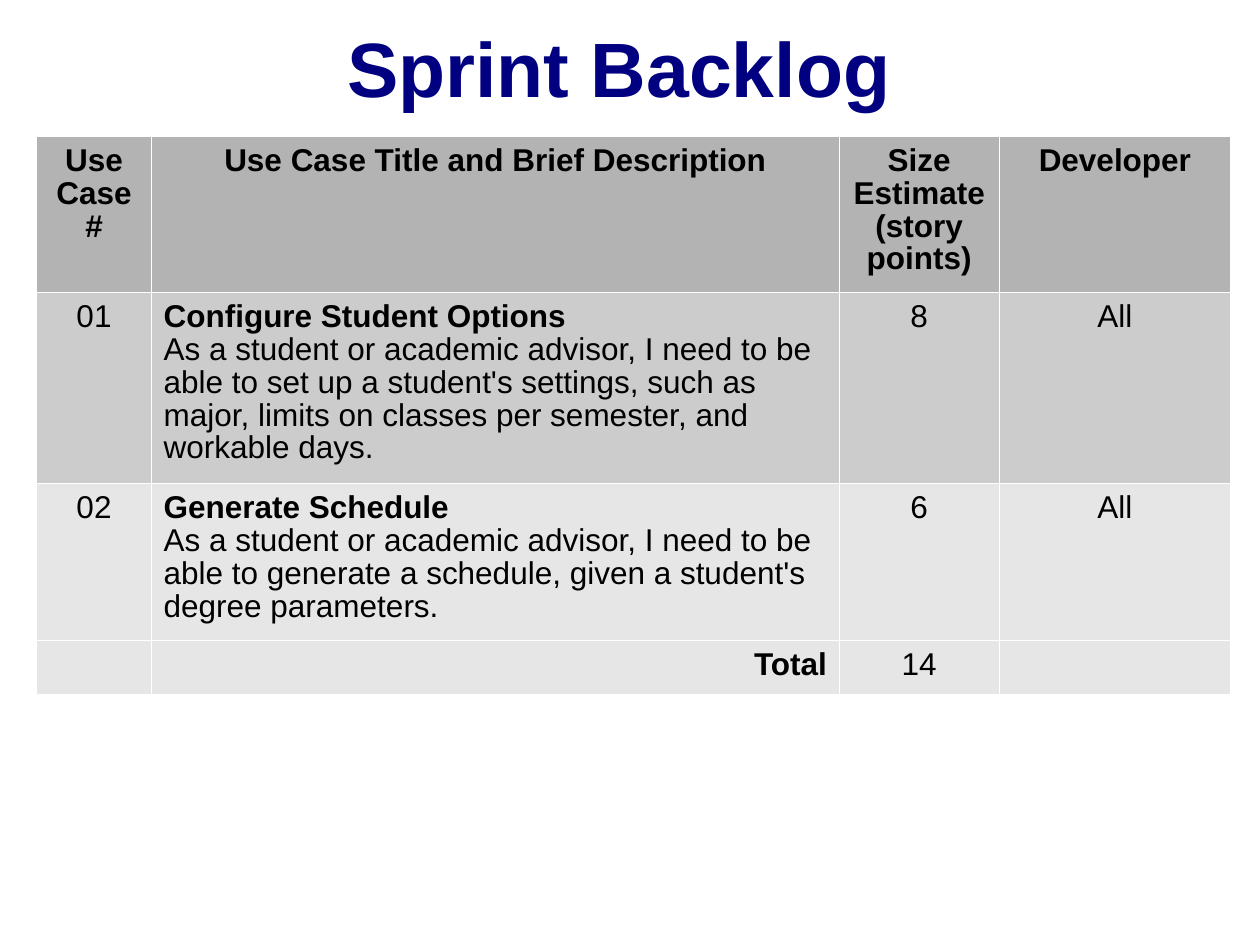
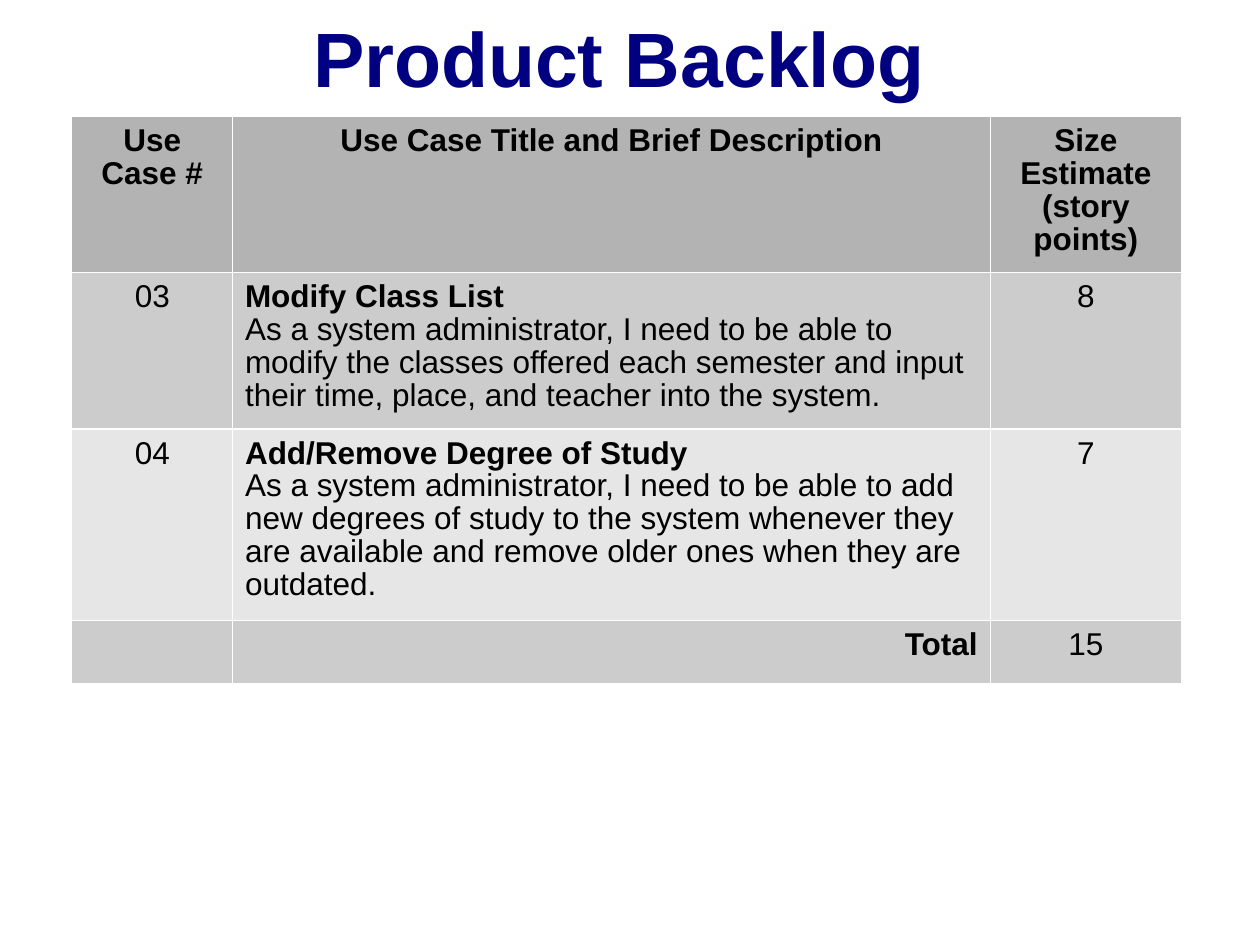
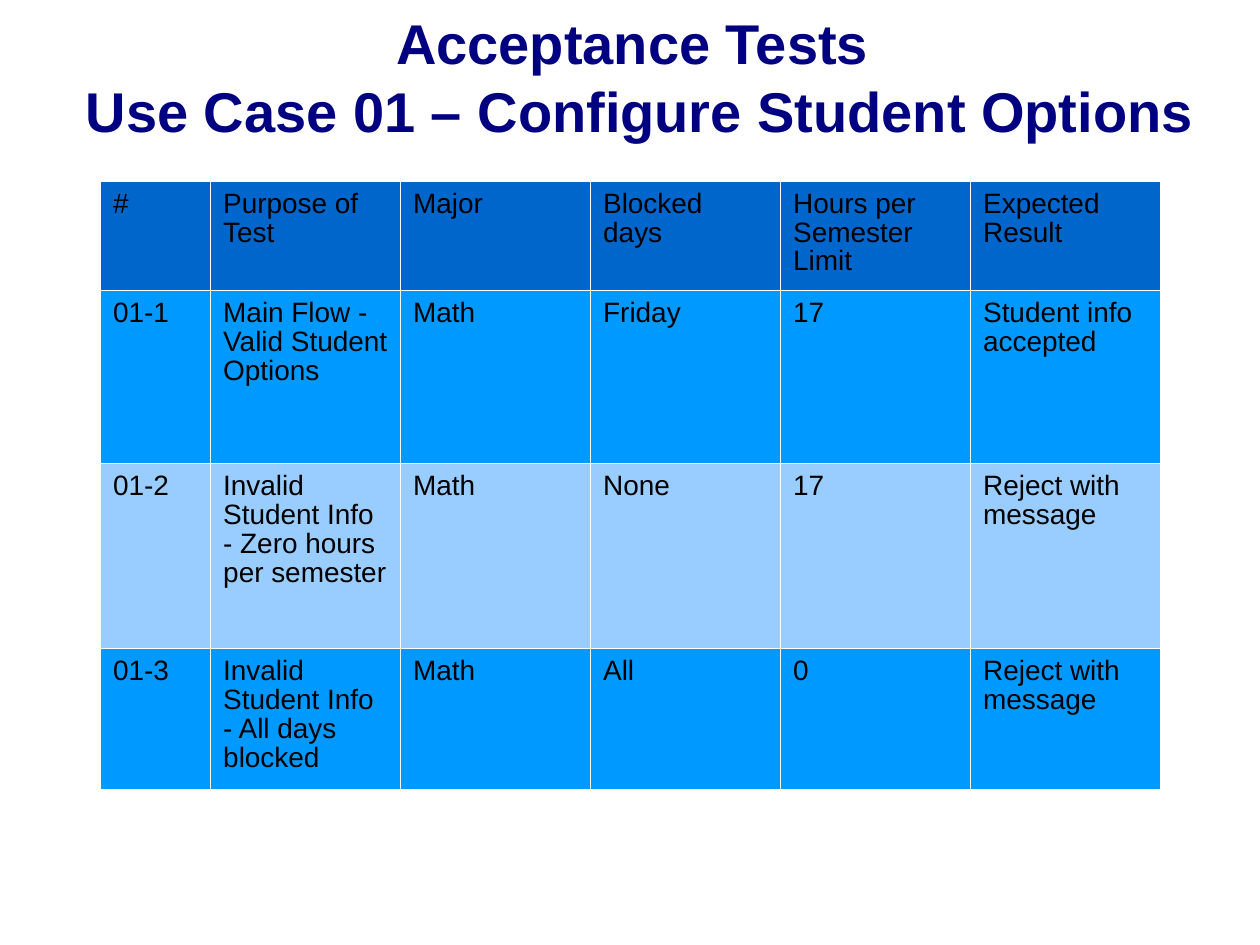
from dataclasses import dataclass

from lxml.etree import SubElement
from pptx import Presentation
from pptx.dml.color import RGBColor
from pptx.enum.text import MSO_ANCHOR, PP_ALIGN
from pptx.oxml.ns import qn
from pptx.util import Cm, Pt


@dataclass(frozen=True)
class Theme:
    font: str = "Arial"
    title_color: str = "000080"
    text_color: str = "000000"
    border_color: str = "FFFFFF"
    border_width: float = 0.75
    header_gray: str = "B3B3B3"
    dark_gray: str = "CCCCCC"
    light_gray: str = "E6E6E6"
    header_blue: str = "0066CC"
    dark_blue: str = "0099FF"
    light_blue: str = "99CCFF"
    title_size: int = 44
    long_title_size: int = 32
    backlog_size: int = 18
    test_size: int = 16
    line_spacing: float = 0.93


@dataclass(frozen=True)
class Entry:
    lines: tuple
    align: PP_ALIGN = PP_ALIGN.LEFT
    bold_lines: int = 0


def set_format(target, values):
    for name, value in values.items():
        setattr(target, name, value)


def centered(*lines, bold=False):
    return Entry(lines, PP_ALIGN.CENTER, len(lines) if bold else 0)


def story(number, name, need, points, *developers):
    rest = [centered(text) for text in (points, *developers)]
    return [centered(number), Entry((name, need), bold_lines=1), *rest]


def total(points):
    return [Entry(()), Entry(("Total",), PP_ALIGN.RIGHT, 1), centered(points)]


def plain(*texts):
    return [Entry((text,)) for text in texts]


class Builder:
    def __init__(self, theme):
        self.theme = theme
        self.deck = Presentation()
        set_format(self.deck, {"slide_width": Cm(25.4), "slide_height": Cm(19.05)})
        self.page = None

    def add_page(self):
        self.page = self.deck.slides.add_slide(self.deck.slide_layouts[6])

    def add_span(self, para, text, size, color, bold):
        span = para.add_run()
        span.text = text
        set_format(span.font, {"name": self.theme.font, "size": Pt(size), "bold": bold})
        span.font.color.rgb = RGBColor.from_string(color)

    def add_title(self, lines, top, width, height, size):
        box = self.page.shapes.add_textbox(Cm(1.27), Cm(top), Cm(width), Cm(height))
        frame = box.text_frame
        set_format(frame, {"word_wrap": True, "vertical_anchor": MSO_ANCHOR.MIDDLE})
        para = frame.paragraphs[0]
        para.alignment = PP_ALIGN.CENTER
        for index, line in enumerate(lines):
            if index:
                para.add_line_break()
            self.add_span(para, line, size, self.theme.title_color, True)

    def add_borders(self, cell):
        properties = cell._tc.get_or_add_tcPr()
        for side in ("a:lnL", "a:lnR", "a:lnT", "a:lnB"):
            line = SubElement(properties, qn(side), w=str(Pt(self.theme.border_width)))
            fill = SubElement(line, qn("a:solidFill"))
            SubElement(fill, qn("a:srgbClr"), val=self.theme.border_color)

    def fill_cell(self, cell, entry, color, size):
        set_format(cell, {
            "margin_left": Cm(0.25), "margin_right": Cm(0.25),
            "margin_top": Cm(0.18), "margin_bottom": Cm(0.13),
        })
        self.add_borders(cell)
        cell.fill.solid()
        cell.fill.fore_color.rgb = RGBColor.from_string(color)
        frame = cell.text_frame
        for index, line in enumerate(entry.lines):
            para = frame.add_paragraph() if index else frame.paragraphs[0]
            set_format(para, {"alignment": entry.align, "line_spacing": self.theme.line_spacing})
            self.add_span(para, line, size, self.theme.text_color, index < entry.bold_lines)

    def add_table(self, left, top, widths, heights, rows, colors, size):
        table = self.page.shapes.add_table(
            len(rows), len(widths), Cm(left), Cm(top), Cm(sum(widths)), Cm(sum(heights))
        ).table
        set_format(table, {"first_row": False, "horz_banding": False})
        for column, width in zip(table.columns, widths):
            column.width = Cm(width)
        for row, height, entries, color in zip(table.rows, heights, rows, colors):
            row.height = Cm(height)
            for cell, entry in zip(row.cells, entries):
                self.fill_cell(cell, entry, color, size)


def main():
    theme = Theme()
    builder = Builder(theme)
    backlog_header = [
        centered("Use Case #", bold=True),
        centered("Use Case Title and Brief Description", bold=True),
        centered("Size Estimate", "(story points)", bold=True),
    ]

    builder.add_page()
    builder.add_title(["Sprint Backlog "], 0.28, 22.86, 2.13, theme.title_size)
    sprint_rows = [
        backlog_header + [centered("Developer", bold=True)],
        story("01", "Configure Student Options",
              "As a student or academic advisor, I need to be able to set up a student's "
              "settings, such as major, limits on classes per semester, and workable days.",
              "8", "All"),
        story("02", "Generate Schedule",
              "As a student or academic advisor, I need to be able to generate a schedule, "
              "given a student's degree parameters.",
              "6", "All"),
        total("14") + [Entry(())],
    ]
    builder.add_table(
        0.74, 2.75, [2.31, 13.87, 3.22, 4.67], [3.13, 3.85, 3.15, 1.1], sprint_rows,
        [theme.header_gray, theme.dark_gray, theme.light_gray, theme.light_gray],
        theme.backlog_size,
    )

    builder.add_page()
    builder.add_title(["Product Backlog "], 0.08, 22.86, 2.13, theme.title_size)
    product_rows = [
        backlog_header,
        story("03", "Modify Class List",
              "As a system administrator, I need to be able to modify the classes offered "
              "each semester and input their time, place, and teacher into the system.",
              "8"),
        story("04", "Add/Remove Degree of Study",
              "As a system administrator, I need to be able to add new degrees of study to "
              "the system whenever they are available and remove older ones when they are "
              "outdated.",
              "7"),
        total("15"),
    ]
    builder.add_table(
        1.45, 2.35, [3.24, 15.27, 3.86], [3.13, 3.15, 3.85, 1.28], product_rows,
        [theme.header_gray, theme.dark_gray, theme.light_gray, theme.dark_gray],
        theme.backlog_size,
    )

    builder.add_page()
    builder.add_title(
        ["Acceptance Tests ", "Use Case 01 – Configure Student Options"],
        0.05, 23.27, 2.97, theme.long_title_size,
    )
    test_rows = [
        plain("#", "Purpose of Test", "Major", "Blocked days",
              "Hours per Semester Limit", "Expected Result"),
        plain("01-1", "Main Flow - Valid Student Options", "Math", "Friday", "17",
              "Student info accepted"),
        plain("01-2", "Invalid Student Info - Zero hours per semester", "Math", "None", "17",
              "Reject with message"),
        plain("01-3", "Invalid Student Info - All days blocked", "Math", "All", "0",
              "Reject with message"),
    ]
    builder.add_table(
        2.03, 3.65, [2.22] + [3.83] * 5, [2.19, 3.5, 3.73, 2.82], test_rows,
        [theme.header_blue, theme.dark_blue, theme.light_blue, theme.dark_blue],
        theme.test_size,
    )

    builder.deck.save("out.pptx")


if __name__ == "__main__":
    main()
